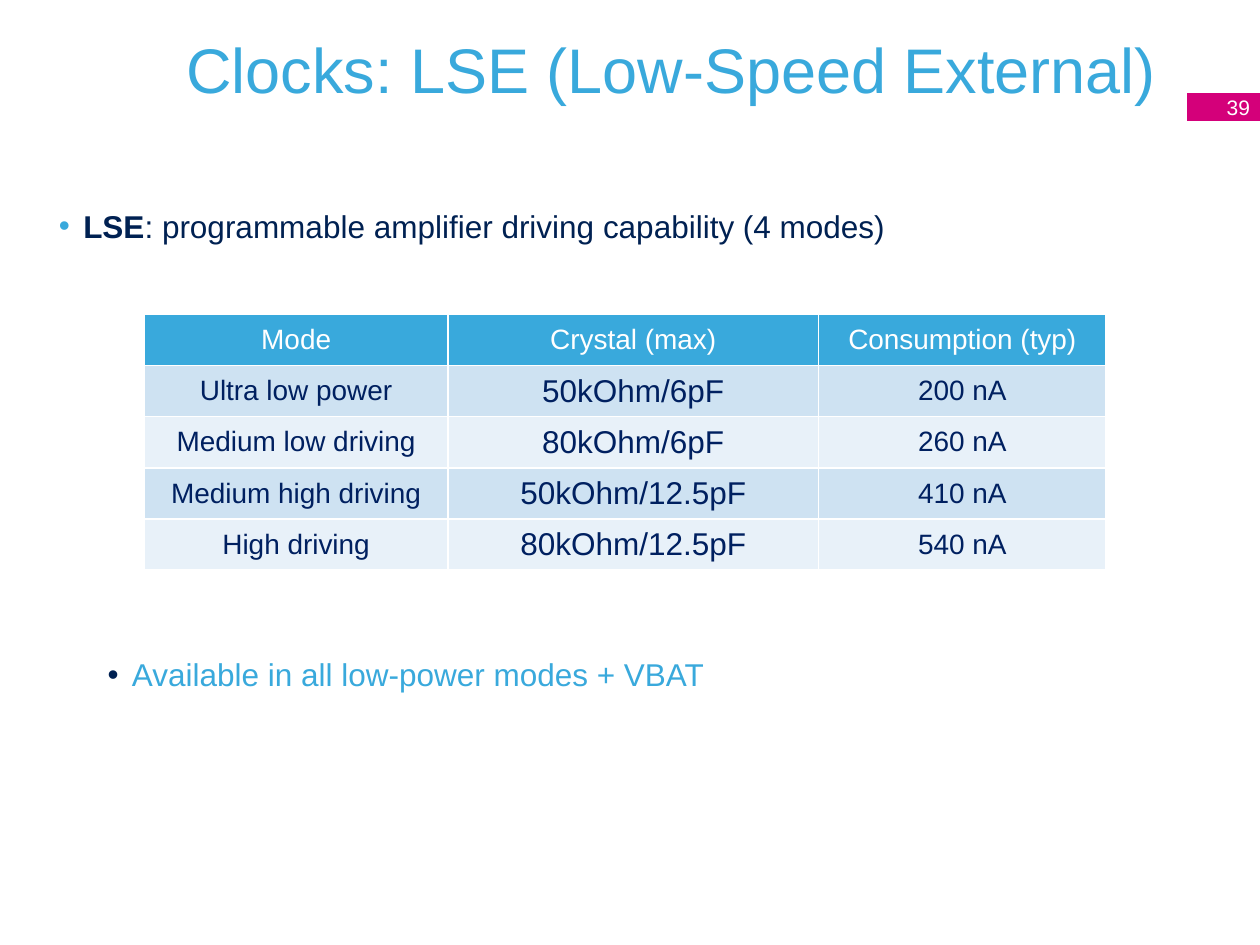
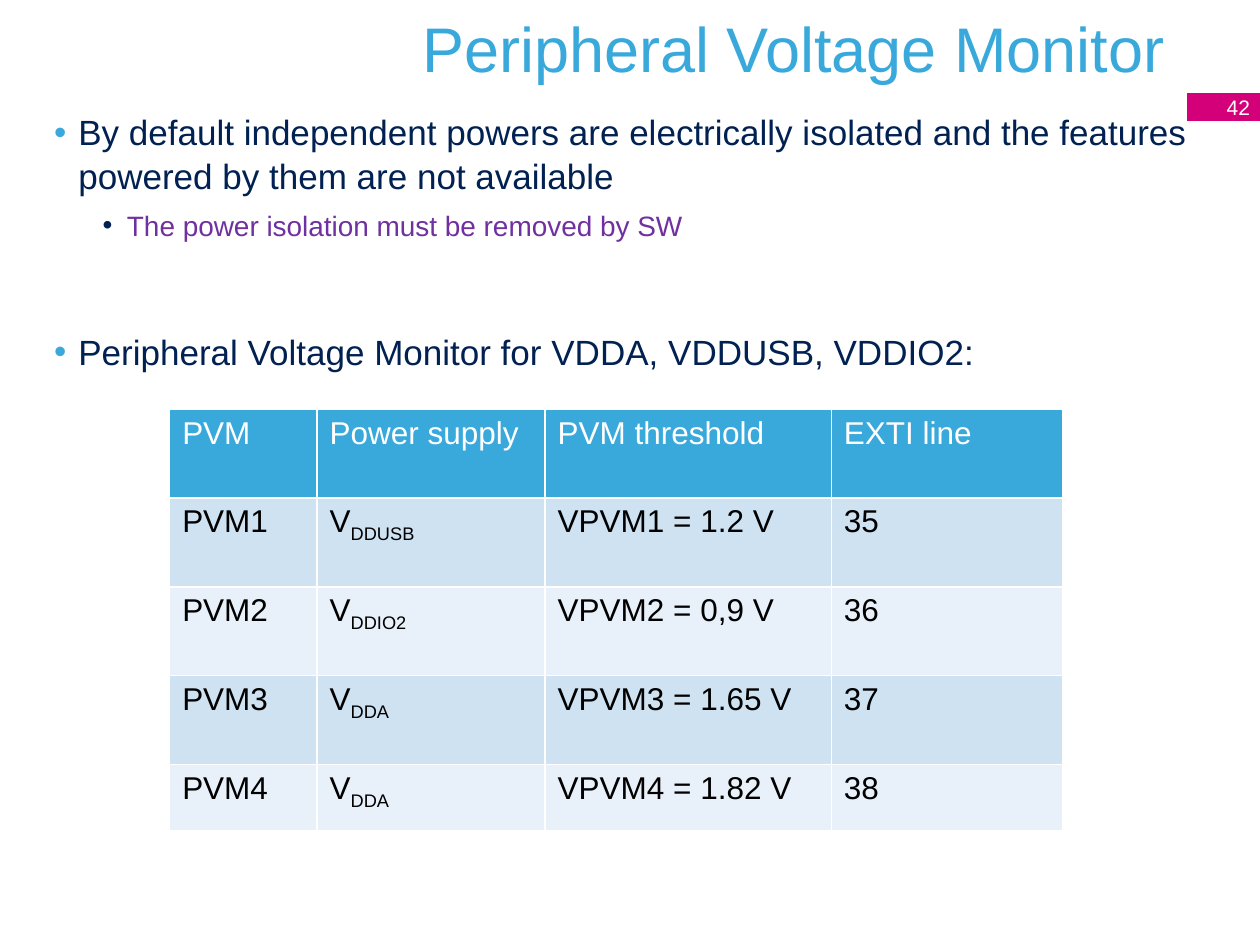
"""Build two slides on the LSE clock and the Peripheral Voltage Monitor."""
from lxml import etree
from pptx import Presentation
from pptx import util as u
from pptx.dml import color
from pptx.enum import shapes, text
from pptx.oxml import ns

FONT = "Arial"
BLUE, NAVY, INK = "39A9DC", "002152", "002060"
PINK, PLUM, WHITE, BLACK = "D4007A", "7030A0", "FFFFFF", "000000"
BANDS = ("CEE2F2", "E8F1F9")
LEFT, MID, RIGHT = text.PP_ALIGN.LEFT, text.PP_ALIGN.CENTER, text.PP_ALIGN.RIGHT
TOP, CORE = text.MSO_ANCHOR.TOP, text.MSO_ANCHOR.MIDDLE

MODES = [
    ("Mode", "Crystal (max)", "Consumption (typ)"),
    ("Ultra low power", "50kOhm/6pF", "200 nA"),
    ("Medium low driving", "80kOhm/6pF", "260 nA"),
    ("Medium high driving", "50kOhm/12.5pF", "410 nA"),
    ("High driving", "80kOhm/12.5pF", "540 nA"),
]
LEVELS = [
    ("PVM", "Power supply", "PVM threshold", "EXTI line"),
    ("PVM1", "V_DDUSB", "VPVM1 = 1.2 V", "35"),
    ("PVM2", "V_DDIO2", "VPVM2 = 0,9 V", "36"),
    ("PVM3", "V_DDA", "VPVM3 = 1.65 V", "37"),
    ("PVM4", "V_DDA", "VPVM4 = 1.82 V", "38"),
]


def hue(code):
    """Turn a hex string into a colour."""
    return color.RGBColor.from_string(code)


def style(para, size, tint, align=LEFT):
    """Format all the runs of a paragraph."""
    para.alignment = align
    for run in para.runs:
        font = run.font
        font.name, font.size, font.bold = FONT, u.Pt(size), False
        font.color.rgb = hue(tint)


def add_box(slide, left, top, width, height):
    """Add a wrapping text box and return its frame."""
    box = slide.shapes.add_textbox(*map(u.Cm, (left, top, width, height)))
    box.text_frame.word_wrap = True
    return box.text_frame


def add_title(slide, words, left, top):
    """Add the right-aligned slide title."""
    frame = add_box(slide, left, top, 22.94, 1.9)
    frame.vertical_anchor = CORE
    frame.text = words
    style(frame.paragraphs[0], 36, BLUE, RIGHT)


def add_tag(slide, number):
    """Add the page number on its pink tag."""
    tag = slide.shapes.add_shape(
        shapes.MSO_SHAPE.RECTANGLE, u.Cm(23.93), u.Cm(1.88), u.Cm(1.52), u.Cm(0.56))
    tag.shadow.inherit = False
    tag.fill.solid()
    tag.fill.fore_color.rgb = hue(PINK)
    tag.line.fill.background()
    frame = tag.text_frame
    frame.margin_top = frame.margin_bottom = 0
    frame.vertical_anchor = CORE
    frame.text = number
    style(frame.paragraphs[0], 12, WHITE, RIGHT)


def add_point(frame, words, size, tint, level=0, before=0):
    """Add a bulleted paragraph and return it."""
    para = frame.paragraphs[0]
    if para.runs:
        para = frame.add_paragraph()
    para.text = words
    para.level = level
    para.line_spacing = 1.04
    para.space_before, para.space_after = u.Pt(before), u.Pt(6)
    style(para, size, tint)
    props = para._p.get_or_add_pPr()
    props.set("marL", str(u.Cm((0.49, 1.47)[level])))
    props.set("indent", str(-u.Cm(0.49)))
    shade = etree.SubElement(props, ns.qn("a:buClr"))
    etree.SubElement(shade, ns.qn("a:srgbClr"), val=(BLUE, NAVY)[level])
    etree.SubElement(props, ns.qn("a:buFont"), typeface=FONT)
    etree.SubElement(props, ns.qn("a:buChar"), char="•")
    return para


def fill_cell(cell, words, size, tint, back, align, anchor):
    """Fill a cell, with any text after an underscore as subscript."""
    cell.fill.solid()
    cell.fill.fore_color.rgb = hue(back)
    cell.vertical_anchor = anchor
    base, _, sub = words.partition("_")
    para = cell.text_frame.paragraphs[0]
    para.text = base
    if sub:
        run = para.add_run()
        run.text = sub
        run._r.get_or_add_rPr().set("baseline", "-25000")
    style(para, size, tint, align)


def add_grid(slide, data, left, top, widths, heights, sizes, ink, align, anchor):
    """Add a banded table with a blue head row."""
    grid = slide.shapes.add_table(
        len(data), len(widths), u.Cm(left), u.Cm(top),
        u.Cm(sum(widths)), u.Cm(sum(heights))).table
    for col, width in zip(grid.columns, widths):
        col.width = u.Cm(width)
    for row, height in zip(grid.rows, heights):
        row.height = u.Cm(height)
    for r, line in enumerate(data):
        for c, words in enumerate(line):
            size = sizes[c] if r else sizes[0]
            tint, back = (ink, BANDS[(r - 1) % 2]) if r else (WHITE, BLUE)
            fill_cell(grid.cell(r, c), words, size, tint, back, align, anchor)


def build_clock(slide):
    """Build the slide on the LSE clock."""
    add_title(slide, "Clocks: LSE (Low-Speed External) ", 0.97, 0.43)
    frame = add_box(slide, 0.94, 4.01, 23.85, 14.35)
    point = add_point(frame, "LSE", 18, NAVY)
    point.add_run().text = ": programmable amplifier driving capability (4 modes)"
    style(point, 18, NAVY)
    point.runs[0].font.bold = True
    add_point(frame, "Available in all low-power modes + VBAT", 18, BLUE, 1, 228)
    add_tag(slide, "39")
    add_grid(slide, MODES, 2.91, 6.34, (6.12, 7.47, 5.8), [1.03] * 5,
             (16, 18, 16), INK, MID, CORE)


def build_watch(slide):
    """Build the slide on the Peripheral Voltage Monitor."""
    add_title(slide, "Peripheral Voltage Monitor", 0.79, 0)
    add_tag(slide, "42")
    frame = add_box(slide, 0.84, 2.08, 23.77, 5.46)
    add_point(frame, "By default independent powers are electrically isolated and "
              "the features powered by them are not available", 20, NAVY)
    add_point(frame, "The power isolation must be removed by SW", 16, PLUM, 1)
    add_point(frame, "Peripheral Voltage Monitor for VDDA, VDDUSB, VDDIO2:",
              20, NAVY, before=43.5)
    add_grid(slide, LEVELS, 3.42, 8.25, (2.97, 4.6, 5.77, 4.66),
             [1.79] * 4 + [1.33], [18] * 4, BLACK, LEFT, TOP)


def main():
    """Build and save the deck."""
    deck = Presentation()
    deck.slide_width, deck.slide_height = u.Cm(25.4), u.Cm(19.05)
    for build in (build_clock, build_watch):
        build(deck.slides.add_slide(deck.slide_layouts[6]))
    deck.save("out.pptx")


if __name__ == "__main__":
    main()
